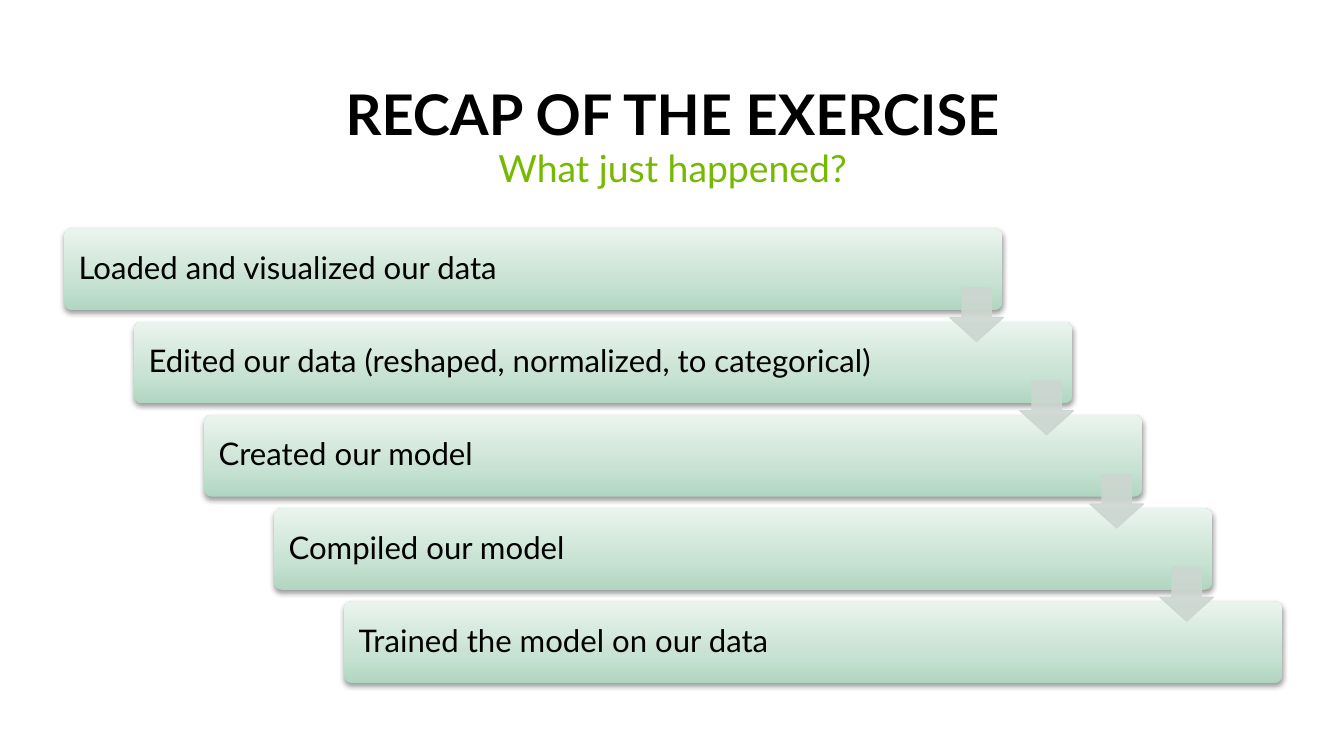
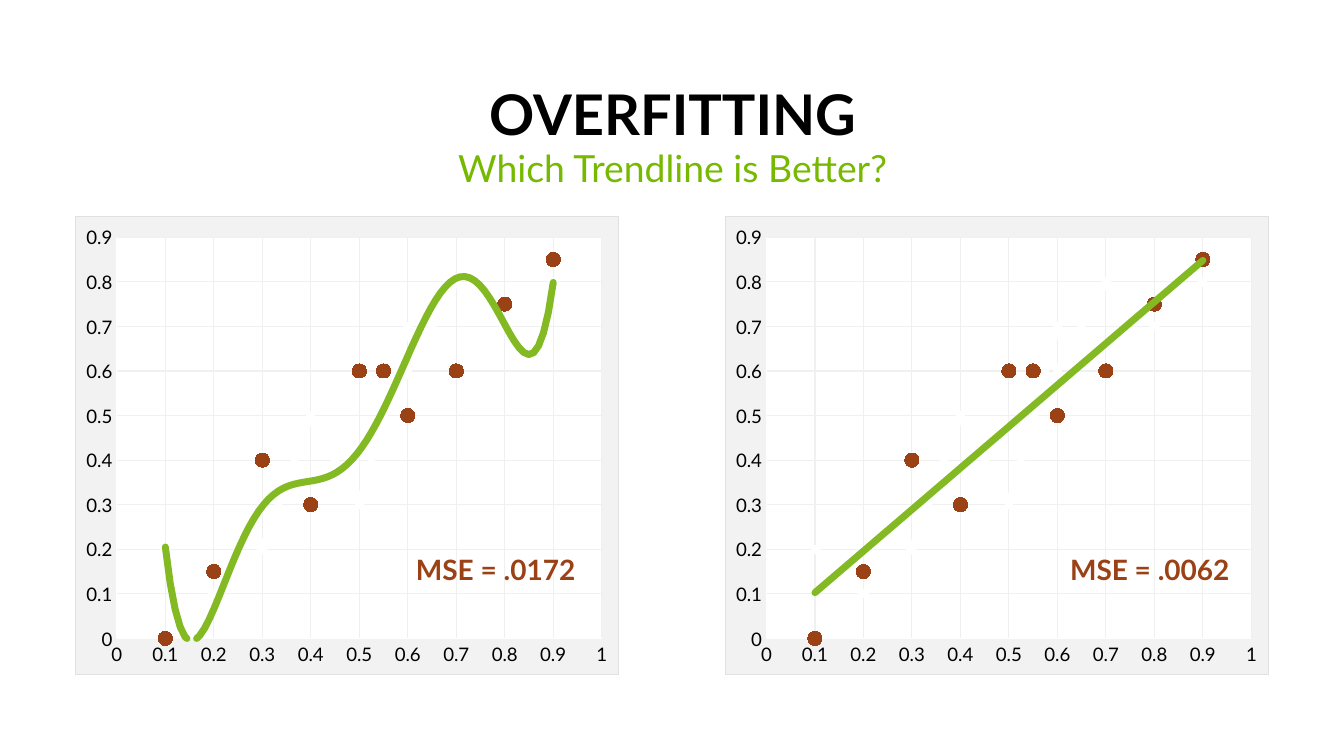
"""Build two training slides: an exercise recap and an overfitting comparison."""
from dataclasses import dataclass

from lxml import etree
from pptx import Presentation
from pptx.chart.data import XyChartData
from pptx.dml.color import RGBColor
from pptx.enum import chart as charts, shapes, text
from pptx.oxml import parse_xml
from pptx.oxml.ns import nsdecls, qn
from pptx.util import Inches, Pt


@dataclass(frozen=True)
class Theme:
    """Colours, font and type sizes shared by the slides."""
    font: str = "Lato"
    ink: str = "000000"
    accent: str = "76B900"
    paper: str = "FFFFFF"
    arrow: str = "CCD6D0"
    trend: str = "83BA24"
    marker: str = "9A4216"
    grid: str = "F0F0F0"
    chart_fill: str = "F2F2F2"
    chart_border: str = "E1E1E1"
    card_stops: tuple = ((0, "B0D6C1"), (35, "C8E2D3"), (100, "EAF4EE"))
    title_size: int = 36
    subtitle_size: int = 24
    card_size: int = 20
    score_size: int = 18
    axis_size: int = 12
    chart_size: int = 10
    hairline: float = 0.75
    curve_width: float = 4.5


@dataclass(frozen=True)
class Box:
    """A rectangle in inches."""
    left: float
    top: float
    width: float
    height: float

    def shifted(self, across: float, down: float = 0) -> "Box":
        """Return the box moved by the given distances."""
        return Box(self.left + across, self.top + down, self.width, self.height)

    def lengths(self) -> tuple:
        """Return left, top, width and height as lengths."""
        return tuple(Inches(n) for n in (self.left, self.top, self.width, self.height))


@dataclass(frozen=True)
class Fit:
    """One chart with its trend line and error score."""
    trend_xml: str
    score: str
    frame: Box
    score_box: Box


THEME = Theme()
TITLE = Box(0.55, 0.72, 10.91, 0.65)
SUBTITLE = Box(0.55, 1.29, 10.91, 0.57)

STEPS = (
    "Loaded and visualized our data",
    "Edited our data (reshaped, normalized, to categorical)",
    "Created our model",
    "Compiled our model",
    "Trained the model on our data",
)
CARD = Box(0.57, 2.04, 8.38, 0.73)
ARROW = Box(8.48, 2.57, 0.48, 0.48)
STEP_ACROSS = 2.5 / 4
STEP_DOWN = 3.33 / 4

X_VALUES = (0.1, 0.2, 0.3, 0.4, 0.5, 0.6, 0.55, 0.7, 0.8, 0.9)
SERIES = {
    "Series 1": (0.2, 0.1, 0.2, 0.5, 0.3, 0.7, 0.5, 0.8, 0.7, 0.8),
    "Series 2": (0, 0.15, 0.4, 0.3, 0.6, 0.5, 0.6, 0.6, 0.75, 0.85),
}
LEFT_CHART = Box(0.67, 1.93, 4.86, 4.1)
LEFT_SCORE = Box(3.6, 4.92, 1.65, 0.37)
FITS = (
    Fit('<c:trendlineType val="poly"/><c:order val="6"/>', "MSE = .0172",
        LEFT_CHART, LEFT_SCORE),
    Fit('<c:trendlineType val="linear"/>', "MSE = .0062",
        LEFT_CHART.shifted(5.8), LEFT_SCORE.shifted(5.84)),
)


def rgb(colour: str) -> RGBColor:
    """Turn a hex string into a colour."""
    return RGBColor.from_string(colour)


def style_font(font, size: float, colour: str = THEME.ink, bold: bool = False) -> None:
    """Apply the theme font with a size and colour."""
    font.name, font.size, font.bold = THEME.font, Pt(size), bold
    font.color.rgb = rgb(colour)


def style_line(line, colour: str, width: float = THEME.hairline) -> None:
    """Make a line solid in one colour."""
    line.color.rgb = rgb(colour)
    line.width = Pt(width)


def write(shape, words: str, *, size: float, colour: str = THEME.ink, bold: bool = False,
          align=text.PP_ALIGN.CENTER, anchor=text.MSO_ANCHOR.TOP, wrap: bool = True) -> None:
    """Put one formatted paragraph in a shape."""
    frame = shape.text_frame
    frame.word_wrap = wrap
    frame.vertical_anchor = anchor
    paragraph = frame.paragraphs[0]
    paragraph.alignment = align
    paragraph.line_spacing = 0.9
    run = paragraph.add_run()
    run.text = words
    style_font(run.font, size, colour, bold)


def add_text(slide, box: Box, words: str, **formatting):
    """Add a text box holding one paragraph."""
    shape = slide.shapes.add_textbox(*box.lengths())
    write(shape, words, **formatting)
    return shape


def add_titled_slide(presentation, title: str, subtitle: str):
    """Add a blank slide with the shared heading."""
    slide = presentation.slides.add_slide(presentation.slide_layouts[6])
    add_text(slide, TITLE, title, size=THEME.title_size, bold=True,
             anchor=text.MSO_ANCHOR.BOTTOM)
    add_text(slide, SUBTITLE, subtitle, size=THEME.subtitle_size, colour=THEME.accent)
    return slide


def add_card(slide, box: Box, words: str) -> None:
    """Add a rounded step card with a gradient and a soft shadow."""
    card = slide.shapes.add_shape(shapes.MSO_SHAPE.ROUNDED_RECTANGLE, *box.lengths())
    card.adjustments[0] = 0.1
    card.line.fill.background()
    card.fill.background()
    card.shadow.inherit = False
    properties = card._element.spPr
    stops = "".join(f'<a:gs pos="{position * 1000}"><a:srgbClr val="{colour}"/></a:gs>'
                    for position, colour in THEME.card_stops)
    gradient = parse_xml(f'<a:gradFill {nsdecls("a")} rotWithShape="1"><a:gsLst>{stops}</a:gsLst>'
                         '<a:lin ang="16200000" scaled="0"/></a:gradFill>')
    properties.replace(properties.find(qn("a:noFill")), gradient)
    properties.find(qn("a:effectLst")).append(parse_xml(
        f'<a:outerShdw {nsdecls("a")} blurRad="40000" dist="20000" dir="5400000" '
        'rotWithShape="0"><a:srgbClr val="000000"><a:alpha val="38000"/></a:srgbClr>'
        '</a:outerShdw>'))
    card.text_frame.margin_left = Inches(0.11)
    write(card, words, size=THEME.card_size, align=text.PP_ALIGN.LEFT,
          anchor=text.MSO_ANCHOR.MIDDLE)


def add_arrow(slide, box: Box) -> None:
    """Add a translucent arrow leading to the next card."""
    arrow = slide.shapes.add_shape(shapes.MSO_SHAPE.DOWN_ARROW, *box.lengths())
    arrow.adjustments[0], arrow.adjustments[1] = 0.55, 0.45
    arrow.shadow.inherit = False
    arrow.fill.solid()
    arrow.fill.fore_color.rgb = rgb(THEME.arrow)
    style_line(arrow.line, THEME.arrow)
    for colour in arrow._element.spPr.iter(qn("a:srgbClr")):
        etree.SubElement(colour, qn("a:alpha")).set("val", "90000")


def area_format(fill: str, border: str = ""):
    """Build the fill and border of a chart area."""
    outline = (f'<a:ln w="{Pt(THEME.hairline)}"><a:solidFill><a:srgbClr val="{border}"/>'
               '</a:solidFill></a:ln>' if border else '<a:ln><a:noFill/></a:ln>')
    return parse_xml(f'<c:spPr {nsdecls("c", "a")}><a:solidFill><a:srgbClr val="{fill}"/>'
                     f'</a:solidFill>{outline}</c:spPr>')


def style_axis(axis, maximum: float) -> None:
    """Give an axis its scale, labels and grid."""
    axis.minimum_scale, axis.maximum_scale, axis.major_unit = 0, maximum, 0.1
    axis.major_tick_mark = axis.minor_tick_mark = charts.XL_TICK_MARK.NONE
    axis.has_major_gridlines = True
    style_line(axis.major_gridlines.format.line, THEME.grid)
    style_line(axis.format.line, THEME.paper)
    axis.tick_labels.number_format = "General"
    axis.tick_labels.number_format_is_linked = False
    style_font(axis.tick_labels.font, THEME.axis_size)


def style_marker(series, size: int, colour: str) -> None:
    """Draw the points of a series as filled circles."""
    series.smooth = False
    series.marker.style = charts.XL_MARKER_STYLE.CIRCLE
    series.marker.size = size
    series.marker.format.fill.solid()
    series.marker.format.fill.fore_color.rgb = rgb(colour)
    style_line(series.marker.format.line, colour)


def add_trend(series, trend_xml: str) -> None:
    """Attach a trend line to a series."""
    trend = parse_xml(
        f'<c:trendline {nsdecls("c", "a")}><c:spPr><a:ln w="{Pt(THEME.curve_width)}" cap="rnd">'
        f'<a:solidFill><a:srgbClr val="{THEME.trend}"/></a:solidFill></a:ln></c:spPr>'
        f'{trend_xml}<c:dispRSqr val="0"/><c:dispEq val="0"/></c:trendline>')
    series._element.find(qn("c:xVal")).addprevious(trend)


def place_plot(plot_area) -> None:
    """Fix the inner plot rectangle as shares of the chart."""
    for layout in plot_area.findall(qn("c:layout")):
        plot_area.remove(layout)
    shares = "".join(f'<c:{name} val="{share}"/>' for name, share in
                     (("x", 0.076), ("y", 0.045), ("w", 0.893), ("h", 0.876)))
    plot_area.insert(0, parse_xml(
        f'<c:layout {nsdecls("c")}><c:manualLayout><c:layoutTarget val="inner"/>'
        f'<c:xMode val="edge"/><c:yMode val="edge"/>{shares}</c:manualLayout></c:layout>'))


def add_fit(slide, fit: Fit) -> None:
    """Add a scatter chart with its trend line."""
    data = XyChartData()
    for name, values in SERIES.items():
        points = data.add_series(name)
        for x, y in zip(X_VALUES, values):
            points.add_data_point(x, y)
    chart = slide.shapes.add_chart(charts.XL_CHART_TYPE.XY_SCATTER_LINES,
                                   *fit.frame.lengths(), data).chart
    chart.has_legend = chart.has_title = False
    style_font(chart.font, THEME.chart_size)
    style_axis(chart.category_axis, 1)
    style_axis(chart.value_axis, 0.9)

    plot = chart.plots[0]
    plot.vary_by_categories = False
    fitted, observed = plot.series
    style_line(fitted.format.line, THEME.paper, THEME.curve_width)
    style_marker(fitted, 5, THEME.paper)
    add_trend(fitted, fit.trend_xml)
    observed.format.line.fill.background()
    style_marker(observed, 9, THEME.marker)

    chart_part = chart._chartSpace.find(qn("c:chart"))
    chart_part.addnext(area_format(THEME.chart_fill, THEME.chart_border))
    plot_area = chart_part.find(qn("c:plotArea"))
    place_plot(plot_area)
    plot_area.append(area_format(THEME.paper))


def build_recap(presentation) -> None:
    """Build the staircase of exercise steps."""
    slide = add_titled_slide(presentation, "RECAP OF THE EXERCISE", "What just happened?")
    for index, step in enumerate(STEPS):
        add_card(slide, CARD.shifted(index * STEP_ACROSS, index * STEP_DOWN), step)
    for index in range(len(STEPS) - 1):
        add_arrow(slide, ARROW.shifted(index * STEP_ACROSS, index * STEP_DOWN))


def build_overfitting(presentation) -> None:
    """Build the two charts and their scores."""
    slide = add_titled_slide(presentation, "OVERFITTING", "Which Trendline is Better?")
    for fit in FITS:
        add_fit(slide, fit)
    for fit in FITS:
        score = add_text(slide, fit.score_box, fit.score, size=THEME.score_size,
                         colour=THEME.marker, bold=True, wrap=False,
                         anchor=text.MSO_ANCHOR.MIDDLE)
        score.text_frame.auto_size = text.MSO_AUTO_SIZE.SHAPE_TO_FIT_TEXT


def main() -> None:
    """Create and save the presentation."""
    presentation = Presentation()
    presentation.slide_width, presentation.slide_height = Inches(12), Inches(6.75)
    build_recap(presentation)
    build_overfitting(presentation)
    presentation.save("out.pptx")


if __name__ == "__main__":
    main()
